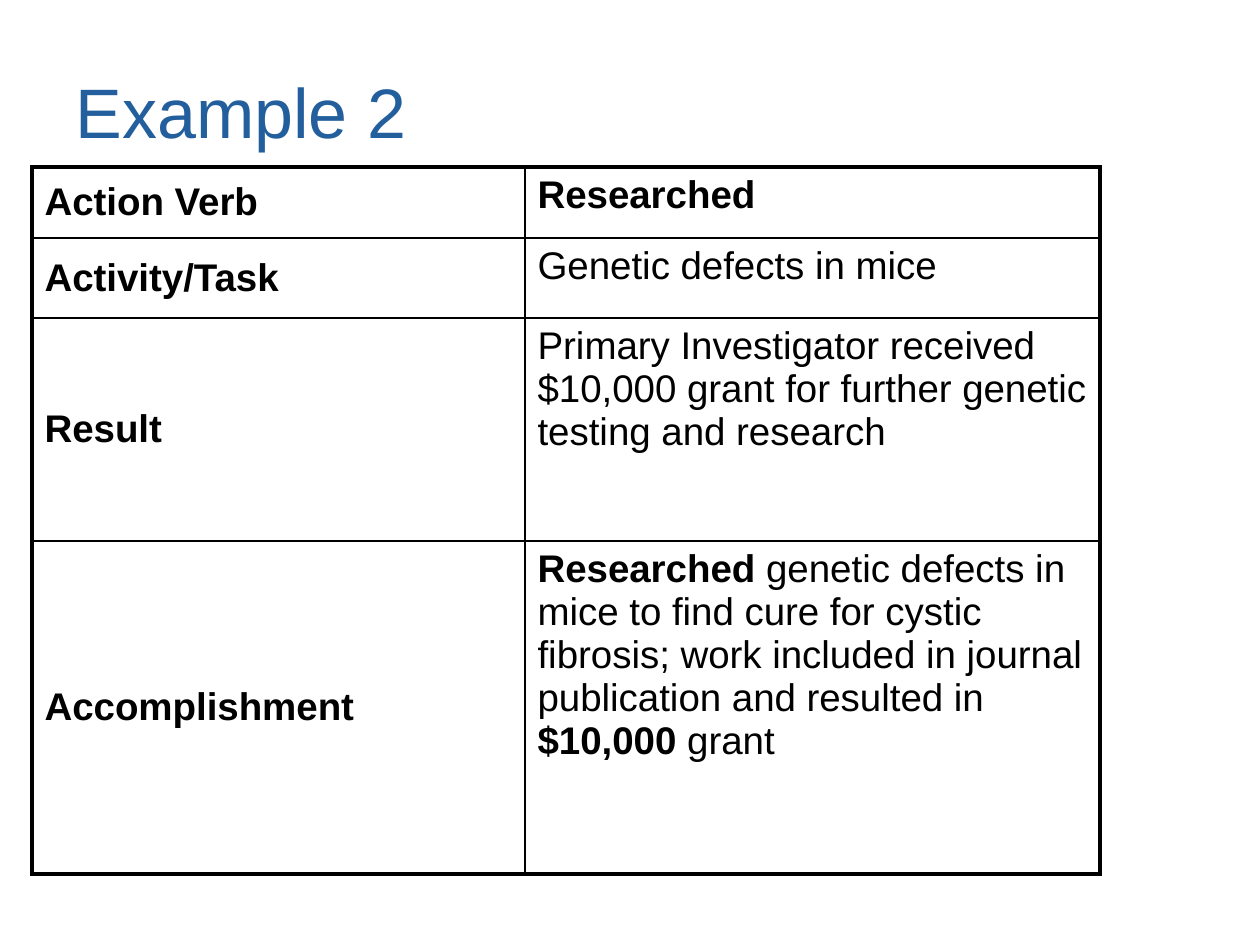
from dataclasses import dataclass

from lxml.etree import SubElement
from pptx import Presentation
from pptx.dml.color import RGBColor
from pptx.enum.text import MSO_ANCHOR, PP_ALIGN
from pptx.oxml.ns import qn
from pptx.util import Emu, Pt

BLUE = RGBColor(0x23, 0x5F, 0x9C)
BLACK = RGBColor(0, 0, 0)
SCALE = 914400 / 126
THIN, THICK = 1, 2.25
FONT = {"name": "Arial", "size": Pt(22)}
COLS = [493, 575]


@dataclass
class Span:
    text: str
    bold: bool = False


@dataclass
class Row:
    label: str
    height: int
    spans: list[Span]


ROWS = [
    Row("Action Verb", 71, [Span("Researched", True)]),
    Row("Activity/Task", 80, [Span("Genetic defects in mice")]),
    Row("Result", 223, [Span("Primary Investigator received $10,000 grant "
                             "for further genetic testing and research")]),
    Row("Accomplishment", 333, [
        Span("Researched ", True),
        Span("genetic defects in mice to find cure for cystic fibrosis; "
             "work included in journal publication and resulted in "),
        Span("$10,000 ", True),
        Span("grant"),
    ]),
]


def px(size: int) -> Emu:
    return Emu(round(size * SCALE))


def style(font, color: RGBColor, **extra) -> None:
    for key, value in {**FONT, **extra}.items():
        setattr(font, key, value)
    font.color.rgb = color


def edge(cell, side: str, width: float) -> None:
    line = SubElement(cell._tc.get_or_add_tcPr(), qn(f"a:ln{side}"), w=str(Pt(width)))
    fill = SubElement(line, qn("a:solidFill"))
    SubElement(fill, qn("a:srgbClr"), val=str(BLACK))


def draw_cell(table, row: int, col: int, spans: list[Span]) -> None:
    cell = table.cell(row, col)
    outer = {"L": col == 0, "R": col == len(COLS) - 1,
             "T": row == 0, "B": row == len(ROWS) - 1}
    for side, thick in outer.items():
        edge(cell, side, THICK if thick else THIN)
    cell.fill.background()
    cell.vertical_anchor = MSO_ANCHOR.TOP if col else MSO_ANCHOR.MIDDLE
    para = cell.text_frame.paragraphs[0]
    for span in spans:
        run = para.add_run()
        run.text = span.text
        style(run.font, BLACK, bold=span.bold)


def draw_title(title, text: str) -> None:
    box = {"left": 63, "top": 48, "width": 1134, "height": 125}
    for key, value in box.items():
        setattr(title, key, px(value))
    frame = title.text_frame
    frame.text = text
    frame.vertical_anchor = MSO_ANCHOR.MIDDLE
    para = frame.paragraphs[0]
    para.alignment = PP_ALIGN.LEFT
    style(para.runs[0].font, BLUE, size=Pt(40))


def draw_table(slide) -> None:
    high = sum(row.height for row in ROWS)
    table = slide.shapes.add_table(len(ROWS), len(COLS), px(32), px(167),
                                   px(sum(COLS)), px(high)).table
    table.first_row = table.horz_banding = False
    for col, width in zip(table.columns, COLS):
        col.width = px(width)
    for i, row in enumerate(ROWS):
        table.rows[i].height = px(row.height)
        draw_cell(table, i, 0, [Span(row.label, True)])
        draw_cell(table, i, 1, row.spans)


def main() -> None:
    deck = Presentation()
    deck.slide_width, deck.slide_height = px(1260), px(945)
    slide = deck.slides.add_slide(deck.slide_layouts[5])
    draw_title(slide.shapes.title, "Example 2")
    draw_table(slide)
    deck.save("out.pptx")


if __name__ == "__main__":
    main()
